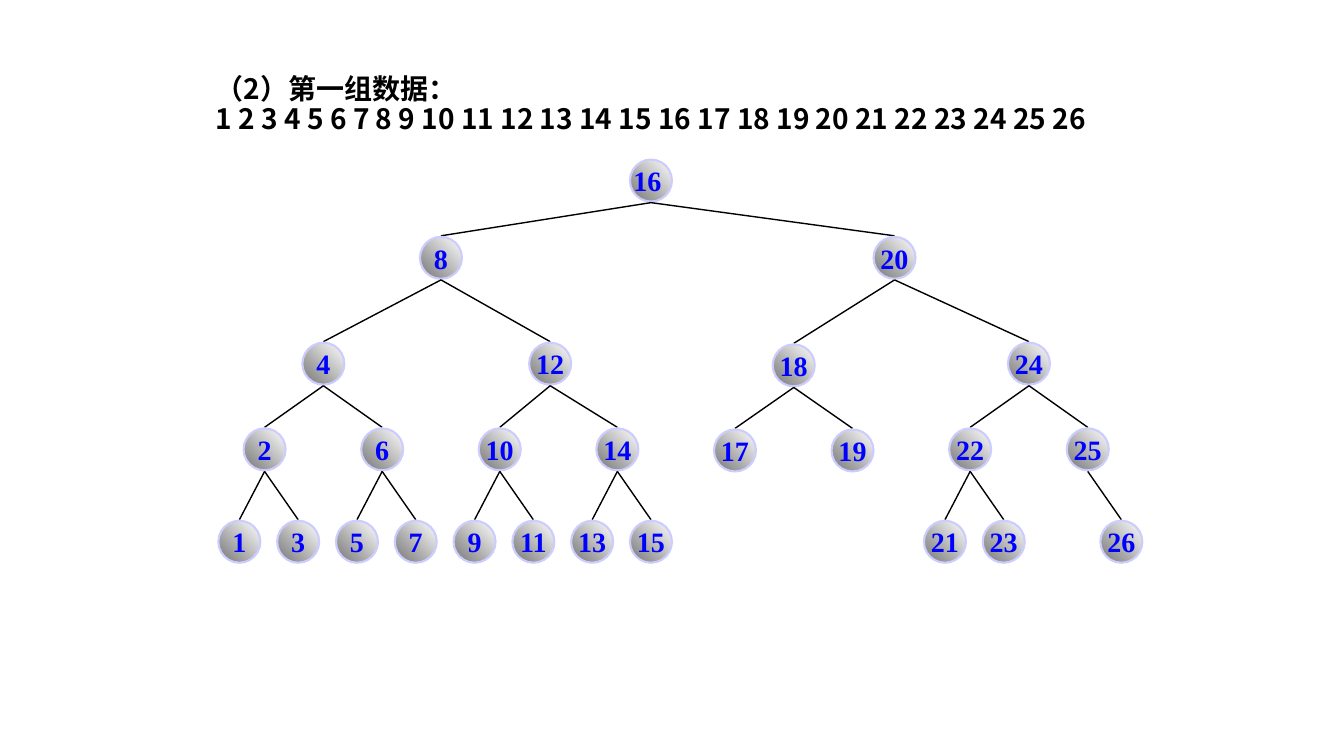
"""Draw a balanced binary search tree of the numbers 1 to 26."""
from lxml import etree
from pptx import Presentation
from pptx.dml.color import RGBColor
from pptx.enum import shapes, text
from pptx.oxml import ns
from pptx.util import Pt

BLACK = RGBColor(0, 0, 0)
BLUE = RGBColor(0, 0, 255)
LAVENDER = RGBColor(0xCC, 0xCC, 0xFF)
GREY = RGBColor(0x76, 0x76, 0x76)
WHITE = RGBColor(0xFF, 0xFF, 0xFF)

ROOT = 16
LEVELS = [
    (114, {16: (450, None)}),
    (169.2, {8: (300, 16), 20: (624, 16)}),
    (244.8, {4: (216, 8), 12: (378, 8), 24: (720, 20)}),
    (246, {18: (552, 20)}),
    (306, {2: (174, 4), 6: (258, 4), 10: (342, 12), 14: (426, 12),
           22: (678, 24), 25: (762, 24)}),
    (306.8, {17: (510, 18), 19: (594, 18)}),
    (372, {1: (156, 2), 3: (198, 2), 5: (240, 6), 7: (282, 6),
           9: (324, 10), 11: (366, 10), 13: (408, 14), 15: (450, 14),
           21: (660, 22), 23: (702, 22), 26: (786, 25)}),
]


class TreePainter:
    """Hold the tree style and draw its elements on one slide."""

    diameter = 30
    gap = 0.75
    font_size = 20
    heading_font = "Noto Sans CJK SC"
    node_font = "Times New Roman"

    def __init__(self, slide):
        self.slide = slide

    def style_text(self, paragraph, font_name, color):
        for run in paragraph.runs:
            run.font.name = font_name
            run.font.size = Pt(self.font_size)
            run.font.bold = True
            run.font.color.rgb = color
            east_asian = etree.SubElement(run.font._element, ns.qn("a:ea"))
            east_asian.set("typeface", font_name)

    def heading(self, left, top, width, height, lines):
        box = self.slide.shapes.add_textbox(Pt(left), Pt(top), Pt(width), Pt(height))
        frame = box.text_frame
        frame.word_wrap = True
        frame.vertical_anchor = text.MSO_ANCHOR.MIDDLE
        frame.text = "\n".join(lines)
        for paragraph in frame.paragraphs:
            paragraph.line_spacing = 0.9
            self.style_text(paragraph, self.heading_font, BLACK)

    def node(self, left, top, label):
        shape = self.slide.shapes.add_shape(
            shapes.MSO_SHAPE.OVAL, Pt(left), Pt(top), Pt(self.diameter), Pt(self.diameter))
        shape.shadow.inherit = False
        shape.fill.gradient()
        shape.fill.gradient_angle = 45
        for stop, position, color in zip(shape.fill.gradient_stops, (0, 1), (GREY, WHITE)):
            stop.position = position
            stop.color.rgb = color
        shape.line.color.rgb = LAVENDER
        shape.line.width = Pt(1.5)
        frame = shape.text_frame
        frame.word_wrap = False
        frame.vertical_anchor = text.MSO_ANCHOR.MIDDLE
        frame.text = label
        paragraph = frame.paragraphs[0]
        paragraph.alignment = text.PP_ALIGN.CENTER
        self.style_text(paragraph, self.node_font, BLUE)

    def branch(self, parent, child):
        radius = self.diameter / 2
        line = self.slide.shapes.add_connector(
            shapes.MSO_CONNECTOR.STRAIGHT,
            Pt(parent[0] + radius), Pt(parent[1] + self.diameter + self.gap),
            Pt(child[0] + radius), Pt(child[1] - self.gap))
        line.line.color.rgb = BLACK
        line.line.width = Pt(1)
        etree.SubElement(line._element.spPr, ns.qn("a:effectLst"))


def main():
    presentation = Presentation()
    presentation.slide_width = Pt(960)
    presentation.slide_height = Pt(540)
    slide = presentation.slides.add_slide(presentation.slide_layouts[6])
    painter = TreePainter(slide)
    numbers = " ".join(str(number) for number in range(1, 27))
    painter.heading(147, 23, 690, 104.4, ["（2）第一组数据：", numbers])

    corners = {}
    for top, nodes in LEVELS:
        for number, (left, parent) in nodes.items():
            corners[number] = (left, top)
            if number != ROOT:
                painter.branch(corners[parent], corners[number])
            painter.node(left, top, f"{number} " if number == ROOT else str(number))
    presentation.save("out.pptx")


if __name__ == "__main__":
    main()
